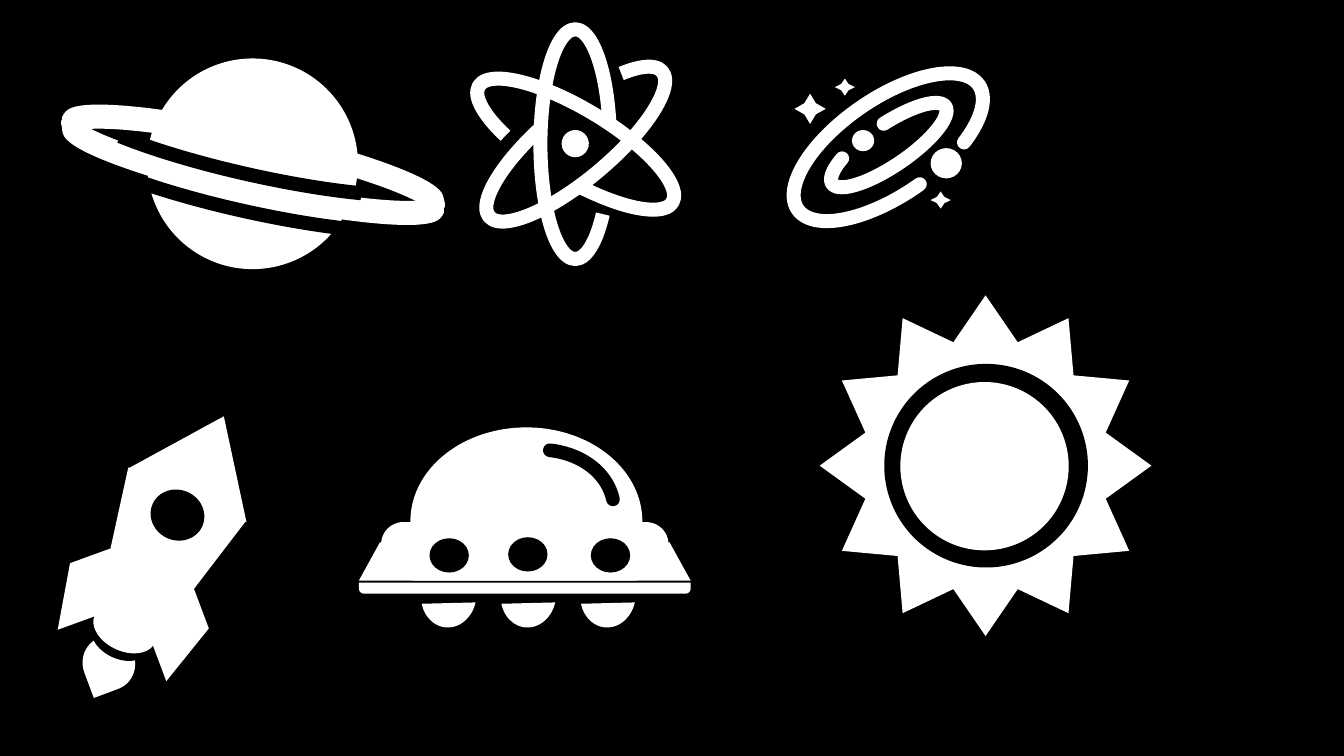
import pptx
import pptx.dml.color
import pptx.enum.shapes
import pptx.oxml.ns
import pptx.util

Inches = pptx.util.Inches
SHAPE = pptx.enum.shapes.MSO_SHAPE
COLORS = {"space": "000000", "icon": "FFFFFF"}


class IconSlide:
    """Draws two-colour icons; each icon is a group on the current slide."""

    stroke = 10

    def __init__(self, slide):
        self.slide = slide
        self.icon = None
        background = slide.background.fill
        background.solid()
        background.fore_color.rgb = self.color("space")

    def color(self, name):
        return pptx.dml.color.RGBColor.from_string(COLORS[name])

    def start_icon(self):
        self.icon = self.slide.shapes.add_group_shape()

    def add_shape(self, kind, box, adjustments, rotation, flip):
        shape = self.icon.shapes.add_shape(kind, *map(Inches, box))
        shape.rotation = rotation
        shape.shadow.inherit = False
        for index, value in enumerate(adjustments):
            shape.adjustments[index] = value
        if flip:
            shape._element.spPr.xfrm.set("flipV", "1")
        return shape

    def set_line(self, shape, color, width):
        formats = {"width": pptx.util.Pt(width)}
        shape.line.color.rgb = self.color(color)
        for attribute, value in formats.items():
            setattr(shape.line, attribute, value)

    def solid(self, kind, box, rotation=0, adjustments=(), color="icon",
              flip=False, outline=None):
        shape = self.add_shape(kind, box, adjustments, rotation, flip)
        shape.fill.solid()
        shape.fill.fore_color.rgb = self.color(color)
        if outline:
            self.set_line(shape, color, outline)
        else:
            shape.line.fill.background()

    def arc(self, box, rotation, adjustments, color="icon", width=stroke, rounded=False):
        shape = self.add_shape(SHAPE.ARC, box, adjustments, rotation, False)
        shape.fill.background()
        self.set_line(shape, color, width)
        if rounded:
            shape._element.spPr.find(pptx.oxml.ns.qn("a:ln")).set("cap", "rnd")


def draw_rocket(canvas):
    canvas.start_icon()
    tilt = 24.9
    canvas.solid(SHAPE.PARALLELOGRAM, (1.34, 6.11, 0.89, 0.37), 308.9, [0.59])
    canvas.solid(SHAPE.PARALLELOGRAM, (0.39, 5.66, 0.89, 0.37), 280.5, [0.59], flip=True)
    canvas.solid(SHAPE.TRAPEZOID, (0.91, 4.84, 1.28, 1.44), tilt, flip=True)
    canvas.solid(SHAPE.PIE, (1.15, 3.06, 2.14, 2.14), 43.1, [20.88, 64.94])
    canvas.solid(SHAPE.OVAL, (1.49, 4.86, 0.54, 0.5), tilt, color="space")
    canvas.solid(SHAPE.TEAR, (0.82, 6.31, 0.52, 0.54), 159.5)
    canvas.solid(SHAPE.FLOWCHART_DELAY, (1, 6.05, 0.38, 0.59), tilt + 90, color="space")
    canvas.solid(SHAPE.FLOWCHART_DELAY, (1.05, 5.94, 0.38, 0.59), tilt + 90, outline=5)


def draw_atom(canvas):
    canvas.start_icon()
    canvas.solid(SHAPE.OVAL, (5.57, 1.29, 0.27, 0.27), 12.6)
    canvas.arc((5.36, 0.29, 0.69, 2.28), 180, [149.08, 90.82])
    for rotation, angles in ((301, [147.5, 86.89]), (50, [151.67, 94.22])):
        canvas.arc((5.36, 0.31, 0.7, 2.24), rotation, angles)


def draw_planet(canvas):
    canvas.start_icon()
    tilt = 12.6
    canvas.solid(SHAPE.OVAL, (1.46, 0.58, 2.09, 2.09), tilt)
    for left, top in ((0.64, 1.33), (0.64, 1.43), (0.63, 1.37), (0.65, 1.37)):
        canvas.arc((left, top, 3.74, 0.51), tilt, [203.05, 120.46])
    for left, top in ((0.61, 1.48), (0.67, 1.12)):
        canvas.arc((left, top, 3.74, 0.62), tilt, [7.45, 102.45], "space")


def draw_galaxy(canvas):
    canvas.start_icon()
    canvas.arc((8.33, 0.37, 0.96, 2.18), 235.5, [104.51, 72.53], rounded=True)
    canvas.arc((8.61, 0.76, 0.41, 1.36), 55.7, [120.46, 65.03], rounded=True)
    for box in ((8.45, 1.29, 0.22, 0.21), (9.23, 1.47, 0.31, 0.3)):
        canvas.solid(SHAPE.OVAL, box)
    for box in ((7.88, 0.93, 0.31, 0.3), (8.28, 0.78, 0.2, 0.17), (9.23, 1.9, 0.2, 0.17)):
        canvas.solid(SHAPE.STAR_4_POINT, box, adjustments=[0.26])


def draw_saucer(canvas):
    canvas.start_icon()
    canvas.solid(SHAPE.CHORD, (4.29, 4.02, 1.86, 2.3), 90, [52.16, 162.73])
    rim = [0.44, 0]
    canvas.solid(SHAPE.ROUND_2_SAME_RECTANGLE, (3.78, 5.18, 2.85, 0.5), adjustments=rim)
    for left in (3.56, 4.09):
        canvas.solid(SHAPE.TRAPEZOID, (left, 5.38, 2.76, 0.38), adjustments=[0.55])
    canvas.solid(SHAPE.ROUND_2_SAME_RECTANGLE, (3.56, 5.78, 3.29, 0.11),
                 adjustments=rim, flip=True)
    for index in range(3):
        canvas.solid(SHAPE.CHORD, (4.13 + 0.79 * index, 5.63, 0.64, 0.55), 275.7,
                     [59.54, 148.07])
    for left, top in ((4.26, 5.34), (5.04, 5.33), (5.86, 5.34)):
        canvas.solid(SHAPE.OVAL, (left, top, 0.39, 0.34), color="space")
    canvas.arc((4.43, 4.47, 1.67, 1.33), 347.5, [179, 0], "space", 9.75, rounded=True)


def draw_sun(canvas):
    canvas.start_icon()
    canvas.solid(SHAPE.STAR_12_POINT, (8.13, 2.93, 3.29, 3.38))
    canvas.solid(SHAPE.OVAL, (8.77, 3.61, 2.02, 2.02), color="space")
    canvas.solid(SHAPE.OVAL, (8.93, 3.79, 1.67, 1.67))


def main():
    presentation = pptx.Presentation()
    presentation.slide_width = Inches(13.33)
    presentation.slide_height = Inches(7.5)
    canvas = IconSlide(presentation.slides.add_slide(presentation.slide_layouts[6]))
    for draw in (draw_rocket, draw_atom, draw_planet, draw_galaxy, draw_saucer, draw_sun):
        draw(canvas)
    presentation.save("out.pptx")


if __name__ == "__main__":
    main()
